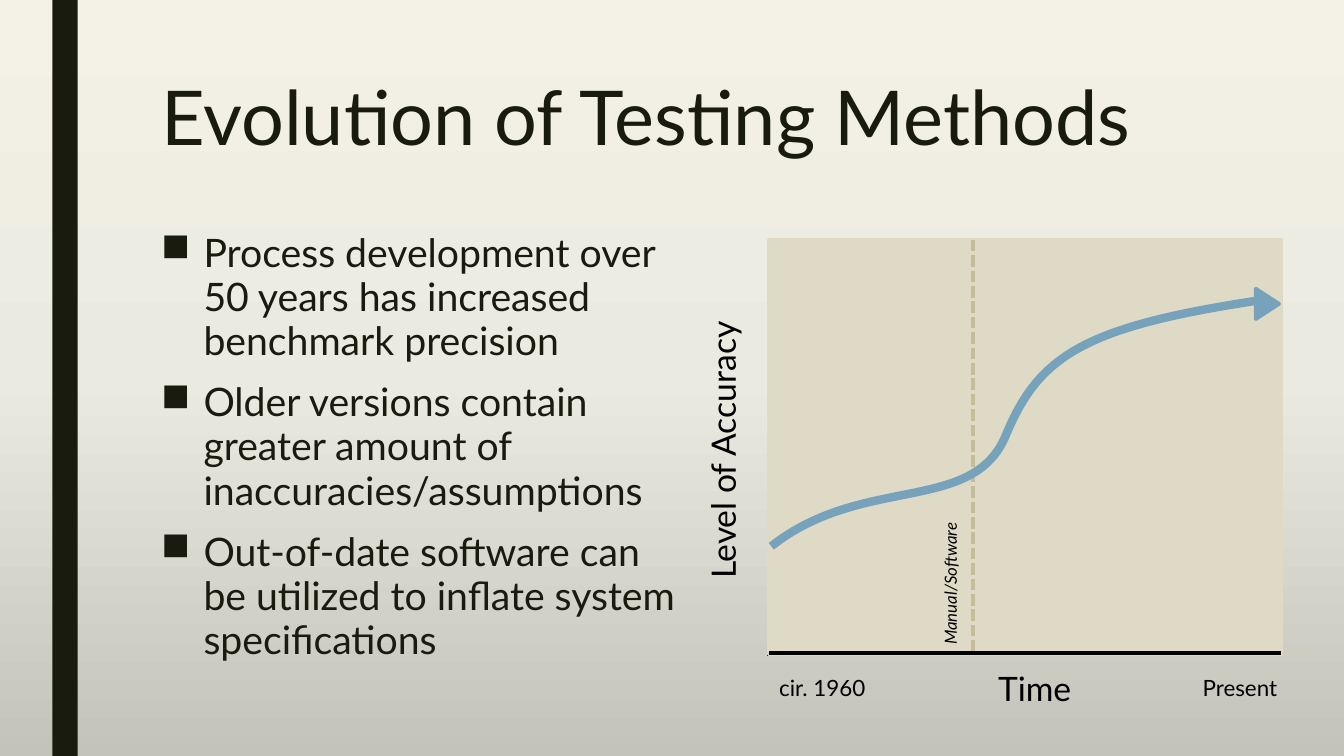
from copy import deepcopy
from lxml import etree
from pptx import Presentation
from pptx.dml.color import RGBColor
from pptx.enum.dml import MSO_LINE
from pptx.enum.shapes import MSO_CONNECTOR, MSO_SHAPE
from pptx.enum.text import MSO_ANCHOR, PP_ALIGN
from pptx.oxml.ns import qn
from pptx.util import Emu, Pt

PX = 9144
W, H = 1333, 750
FONT = "Lato"
INK = RGBColor(0x19, 0x1B, 0x0E)
BLACK = RGBColor(0, 0, 0)
SAND = RGBColor(0xDE, 0xDA, 0xC5)
DARK_SAND = RGBColor(0xC5, 0xBD, 0x99)
BLUE = RGBColor(0x77, 0xA2, 0xBB)
BACKGROUND = [
    (0, RGBColor(0xF4, 0xF2, 0xE7)),
    (0.5, RGBColor(0xEB, 0xEA, 0xE0)),
    (1, RGBColor(0xC4, 0xC3, 0xB9)),
]
RECT, TRIANGLE = MSO_SHAPE.RECTANGLE, MSO_SHAPE.ISOSCELES_TRIANGLE
STRAIGHT = MSO_CONNECTOR.STRAIGHT
DASH = MSO_LINE.SQUARE_DOT
TOP, LEFT = MSO_ANCHOR.TOP, PP_ALIGN.LEFT

TITLE = "Evolution of Testing Methods"
BULLETS = [
    "Process development over 50 years has increased benchmark precision",
    "Older versions contain greater amount of inaccuracies/assumptions",
    "Out-of-date software can be utilized to inflate system specifications",
]
CURVE = [(2, 304), (93, 232), (203, 273), (235, 193), (268, 114), (314, 86), (486, 60)]


def px(*values):
    return [Emu(v * PX) for v in values]


def write(p, text, size, color=BLACK, italic=False, spacing=None):
    p.alignment = LEFT
    if spacing:
        p.line_spacing = spacing
    r = p.add_run()
    r.text = text
    r.font.name, r.font.size = FONT, Pt(size)
    r.font.color.rgb = color
    r.font.italic = italic


def add_box(s, box):
    tb = s.shapes.add_textbox(*px(*box))
    tb.text_frame.word_wrap = True
    return tb


def add_label(s, box, text, size, rotation=0, italic=False):
    tb = add_box(s, box)
    tb.rotation = rotation
    write(tb.text_frame.paragraphs[0], text, size, italic=italic)


def add_block(s, kind, box, color, outlined=True, rotation=0):
    sp = s.shapes.add_shape(kind, *px(*box))
    sp.shadow.inherit = False
    sp.rotation = rotation
    sp.fill.solid()
    sp.fill.fore_color.rgb = color
    if outlined:
        sp.line.color.rgb = color
        sp.line.width = Pt(2.75)
    else:
        sp.line.fill.background()


def add_line(s, x1, y1, x2, y2, color, dash=None):
    cx = s.shapes.add_connector(STRAIGHT, *px(x1, y1, x2, y2))
    cx.line.color.rgb = color
    cx.line.width = Pt(2.75)
    if dash:
        cx.line.dash_style = dash
    etree.SubElement(cx._element.spPr, qn("a:effectLst"))


def add_curve(s, points, color):
    start, *rest = points
    fb = s.shapes.build_freeform(*start, scale=PX)
    fb.add_line_segments(rest, close=False)
    sp = fb.convert_to_shape()
    sp.shadow.inherit = False
    sp.fill.background()
    sp.line.color.rgb = color
    sp.line.width = Pt(6)
    path = next(sp._element.iter(qn("a:path")))
    segments = path.findall(qn("a:lnTo"))
    for i in range(0, len(segments), 3):
        bezier = etree.SubElement(path, qn("a:cubicBezTo"))
        for segment in segments[i:i + 3]:
            bezier.append(segment[0])
            path.remove(segment)


def draw_background(s):
    fill = s.background.fill
    fill.gradient()
    fill.gradient_angle = 270
    stops = next(s._element.iter(qn("a:gsLst")))
    stops.append(deepcopy(stops[0]))
    for stop, (position, color) in zip(fill.gradient_stops, BACKGROUND):
        stop.position = position
        stop.color.rgb = color
    add_block(s, RECT, (52, 0, 25, H), INK, outlined=False)


def draw_title(s, box):
    sp = s.shapes.title
    sp.left, sp.top, sp.width, sp.height = px(*box)
    tf = sp.text_frame
    tf.vertical_anchor = TOP
    write(tf.paragraphs[0], TITLE, 54, INK, spacing=0.89)


def draw_bullets(s, box):
    tf = add_box(s, box).text_frame
    for i, text in enumerate(BULLETS):
        p = tf.add_paragraph() if i else tf.paragraphs[0]
        write(p, text, 28, INK, spacing=0.94)
        p.space_before, p.space_after = Pt(10), Pt(2)
        pPr = p._p.get_or_add_pPr()
        pPr.set("marL", str(42 * PX))
        pPr.set("indent", str(-42 * PX))
        etree.SubElement(pPr, qn("a:buChar"), char="■")


def draw_chart(s, box):
    x, y, w, h = box
    bottom = y + h
    change = x + 202
    add_line(s, x, y, x, bottom + 2, BLACK)
    add_block(s, RECT, box, SAND)
    add_label(s, (x - 192, y + 175, 291, 50), "Level of Accuracy", 24, rotation=270)
    add_line(s, change, y, change, bottom + 1, DARK_SAND, DASH)
    add_label(s, (x + 217, bottom + 9, 125, 50), "Time", 24)
    add_curve(s, [(x + dx, y + dy) for dx, dy in CURVE], BLUE)
    for left, text in ((x + 420, "Present"), (x, "cir. 1960")):
        add_label(s, (left, bottom + 15, 125, 37), text, 16)
    add_label(s, (x + 34, y + 251, 291, 30), "Manual/Software", 12, rotation=270, italic=True)
    add_line(s, x, bottom - 1, x + w, bottom - 1, BLACK)
    add_block(s, TRIANGLE, (x + 479, y + 52, 30, 23), BLUE, rotation=90)


def main():
    prs = Presentation()
    prs.slide_width, prs.slide_height = px(W, H)
    s = prs.slides.add_slide(prs.slide_layouts[5])
    draw_background(s)
    draw_title(s, (150, 75, 1050, 162))
    draw_bullets(s, (150, 225, 539, 484))
    draw_chart(s, (763, 238, 508, 411))
    prs.save("out.pptx")


if __name__ == "__main__":
    main()
